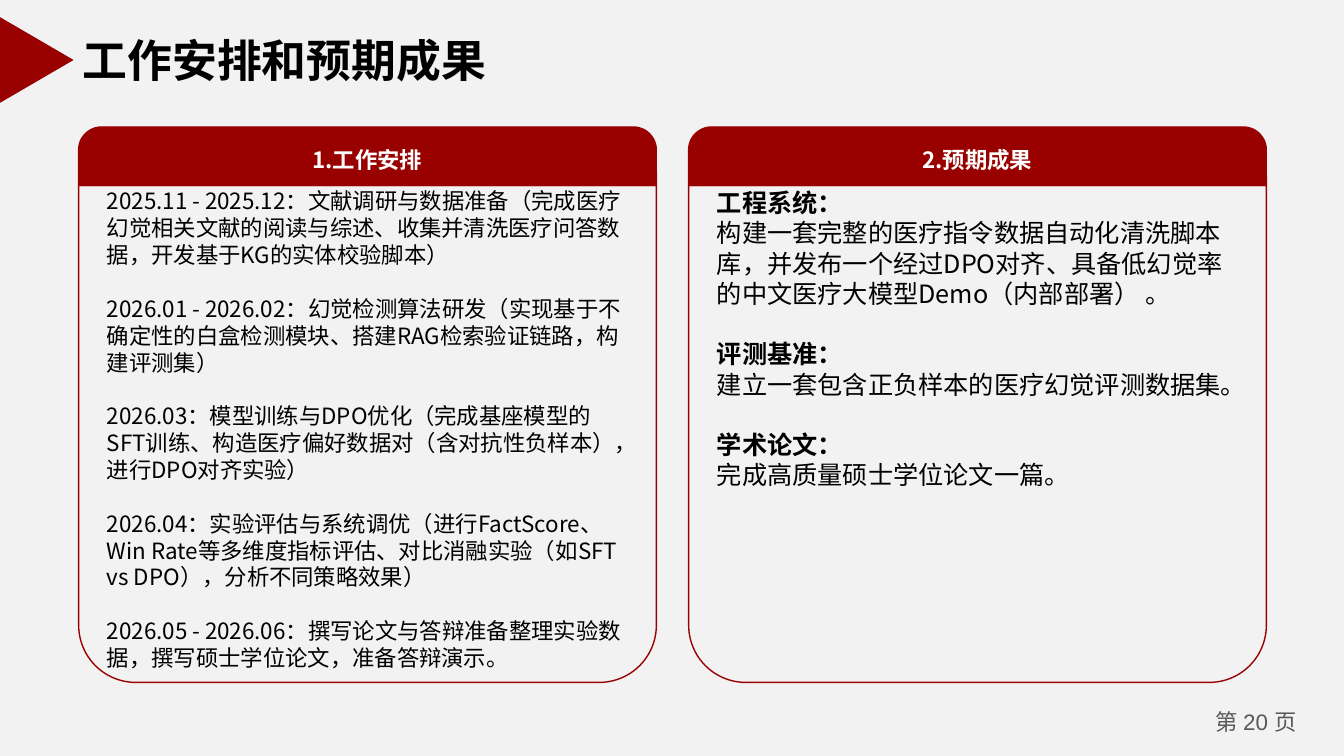
from lxml import etree
from pptx import Presentation
from pptx.dml.color import RGBColor
from pptx.enum import shapes, text
from pptx.oxml import ns
from pptx.util import Inches, Pt

CRIMSON = RGBColor(0x99, 0x01, 0x00)
BACKGROUND = RGBColor(0xF2, 0xF2, 0xF2)
BLACK = RGBColor(0, 0, 0)
WHITE = RGBColor(0xFF, 0xFF, 0xFF)
GREY = RGBColor(0x59, 0x59, 0x59)
CJK = "Noto Sans CJK SC"
LINE_HEIGHT = 1.2  # line height as a multiple of the text size

SCHEDULE = [
    "2025.11 - 2025.12：文献调研与数据准备（完成医疗幻觉相关文献的阅读与综述、收集并清洗医疗问答数据，开发基于KG的实体校验脚本）",
    "2026.01 - 2026.02：幻觉检测算法研发（实现基于不确定性的白盒检测模块、搭建RAG检索验证链路，构建评测集）",
    "2026.03：模型训练与DPO优化（完成基座模型的SFT训练、构造医疗偏好数据对（含对抗性负样本），进行DPO对齐实验）",
    "2026.04：实验评估与系统调优（进行FactScore、Win Rate等多维度指标评估、对比消融实验（如SFT vs DPO），分析不同策略效果）",
    "2026.05 - 2026.06：撰写论文与答辩准备整理实验数据，撰写硕士学位论文，准备答辩演示。",
]
OUTCOMES = [
    ("工程系统：", "构建一套完整的医疗指令数据自动化清洗脚本库，并发布一个经过DPO对齐、具备低幻觉率的中文医疗大模型Demo（内部部署） 。"),
    ("评测基准：", "建立一套包含正负样本的医疗幻觉评测数据集。"),
    ("学术论文：", "完成高质量硕士学位论文一篇。"),
]


def place(part, left, top, width, height):
    part.left, part.top = Inches(left), Inches(top)
    part.width, part.height = Inches(width), Inches(height)


def add_run(paragraph, words, size, color, bold=False, latin=CJK):
    run = paragraph.add_run()
    run.text = words
    run.font.size, run.font.bold = Pt(size), bold
    run.font.color.rgb = color
    run.font.name = latin
    east_asian = etree.SubElement(run.font._element, ns.qn("a:ea"))
    east_asian.set("typeface", CJK)


def add_panel_shape(slide, kind, left, top, width, height, filled=True):
    part = slide.shapes.add_shape(
        kind, Inches(left), Inches(top), Inches(width), Inches(height))
    part.shadow.inherit = False
    part.line.color.rgb = CRIMSON
    part.line.width = Pt(1)
    if filled:
        part.fill.solid()
        part.fill.fore_color.rgb = CRIMSON
    else:
        part.fill.background()
    return part


def add_title(slide, left, top, width, height):
    # Marker pointing at the title; its frame is turned a quarter
    marker = add_panel_shape(slide, shapes.MSO_SHAPE.ISOSCELES_TRIANGLE,
                             left - 0.75, top - 0.03, 0.85, 0.73)
    marker.rotation = 90
    marker.line.fill.background()

    # Title
    title = slide.shapes.title
    place(title, left, top, width, height)
    frame = title.text_frame
    frame.margin_left = frame.margin_right = Inches(0.13)
    frame.word_wrap = False
    frame.auto_size = text.MSO_AUTO_SIZE.NONE
    frame.vertical_anchor = text.MSO_ANCHOR.MIDDLE
    heading = frame.paragraphs[0]
    heading.alignment = text.PP_ALIGN.LEFT
    add_run(heading, "工作安排和预期成果", 32, BLACK, True, "Arial")


def add_card(slide, body, heading, entries, size, left, top, width, height):
    header_height = 0.58
    round_top = shapes.MSO_SHAPE.ROUND_2_SAME_RECTANGLE

    # Header band
    header = add_panel_shape(slide, round_top, left, top, width, header_height)
    header.adjustments[0] = 0.392
    header.text_frame.vertical_anchor = text.MSO_ANCHOR.MIDDLE
    label = header.text_frame.paragraphs[0]
    label.alignment = text.PP_ALIGN.CENTER
    add_run(label, heading, 16, WHITE, True)

    # Outline, rounded at the bottom
    outline = add_panel_shape(slide, round_top, left, top + header_height,
                              width, height - header_height, filled=False)
    outline.adjustments[0] = 0.115
    outline.rotation = 180

    # Body list: each entry is a sequence of (words, bold) paragraphs
    place(body, left + 0.18, top + 0.55, width - 0.39, height - 0.56)
    frame = body.text_frame
    frame.word_wrap = True
    frame.auto_size = text.MSO_AUTO_SIZE.NONE
    frame.vertical_anchor = text.MSO_ANCHOR.TOP
    paragraph = None
    for entry in entries:
        for position, (words, bold) in enumerate(entry):
            first = paragraph is None
            paragraph = frame.paragraphs[0] if first else frame.add_paragraph()
            properties = paragraph._p.get_or_add_pPr()
            properties.set("marL", "0")
            properties.set("indent", "0")
            etree.SubElement(properties, ns.qn("a:buNone"))
            new_entry = position == 0 and not first
            paragraph.space_before = Pt(size * LINE_HEIGHT if new_entry else 0)
            add_run(paragraph, words, size, BLACK, bold)


def add_page_number(slide, left, top, width, height):
    box = slide.shapes.add_textbox(
        Inches(left), Inches(top), Inches(width), Inches(height))
    box.text_frame.word_wrap = True
    number = box.text_frame.paragraphs[0]
    number.alignment = text.PP_ALIGN.CENTER
    add_run(number, "第 ", 16, GREY)
    add_run(number, "20 ", 16, GREY, latin="Arial")
    add_run(number, "页", 16, GREY)


def main():
    deck = Presentation()
    deck.slide_width, deck.slide_height = Inches(13.33), Inches(7.5)
    slide = deck.slides.add_slide(deck.slide_layouts.get_by_name("Two Content"))
    slide.background.fill.solid()
    slide.background.fill.fore_color.rgb = BACKGROUND

    add_title(slide, 0.69, 0.26, 4.38, 0.67)

    # Two equal cards side by side
    schedule = [[(stage, False)] for stage in SCHEDULE]
    outcomes = [[(name, True), (detail, False)] for name, detail in OUTCOMES]
    cards = [("1.工作安排", schedule, 16), ("2.预期成果", outcomes, 18)]
    bodies = list(slide.placeholders)[1:]
    for column, (body, (heading, entries, size)) in enumerate(zip(bodies, cards)):
        add_card(slide, body, heading, entries, size,
                 0.78 + column * 6.05, 1.26, 5.73, 5.51)

    add_page_number(slide, 11.86, 6.98, 1.2, 0.4)
    deck.save("out.pptx")


if __name__ == "__main__":
    main()
